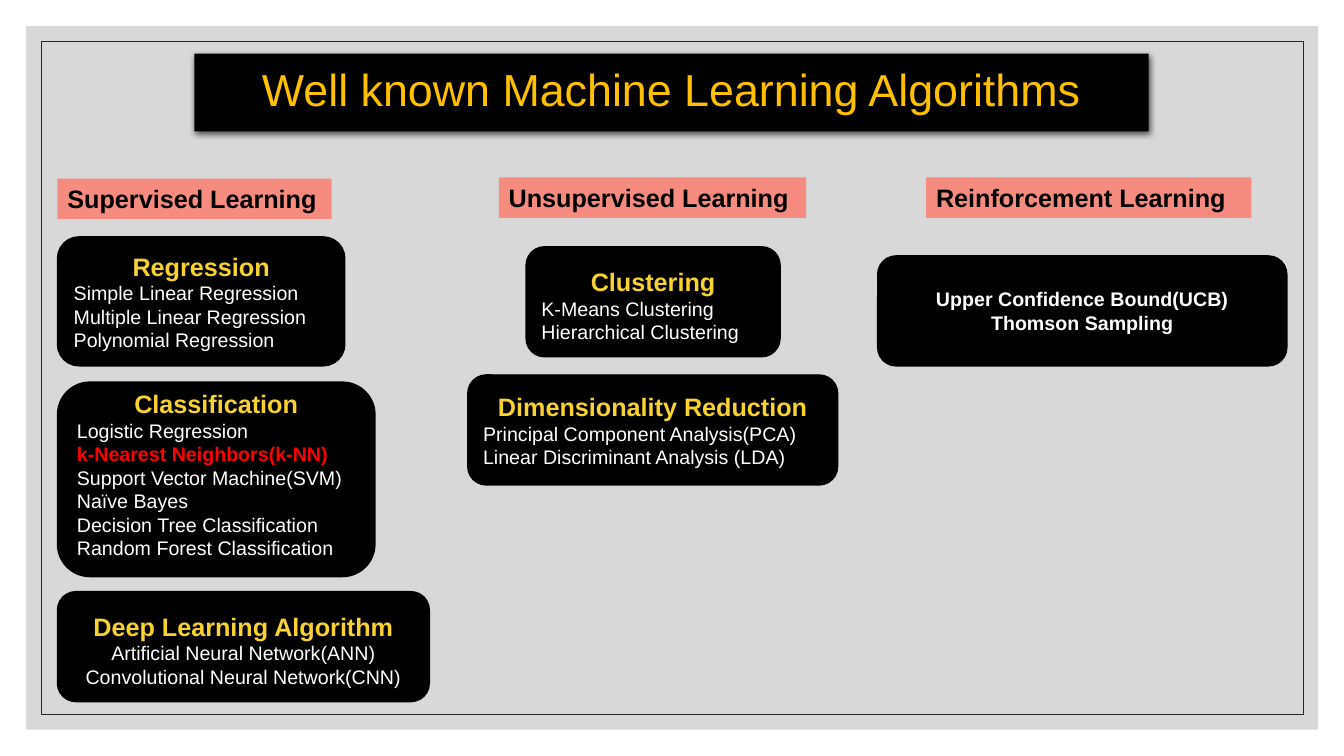
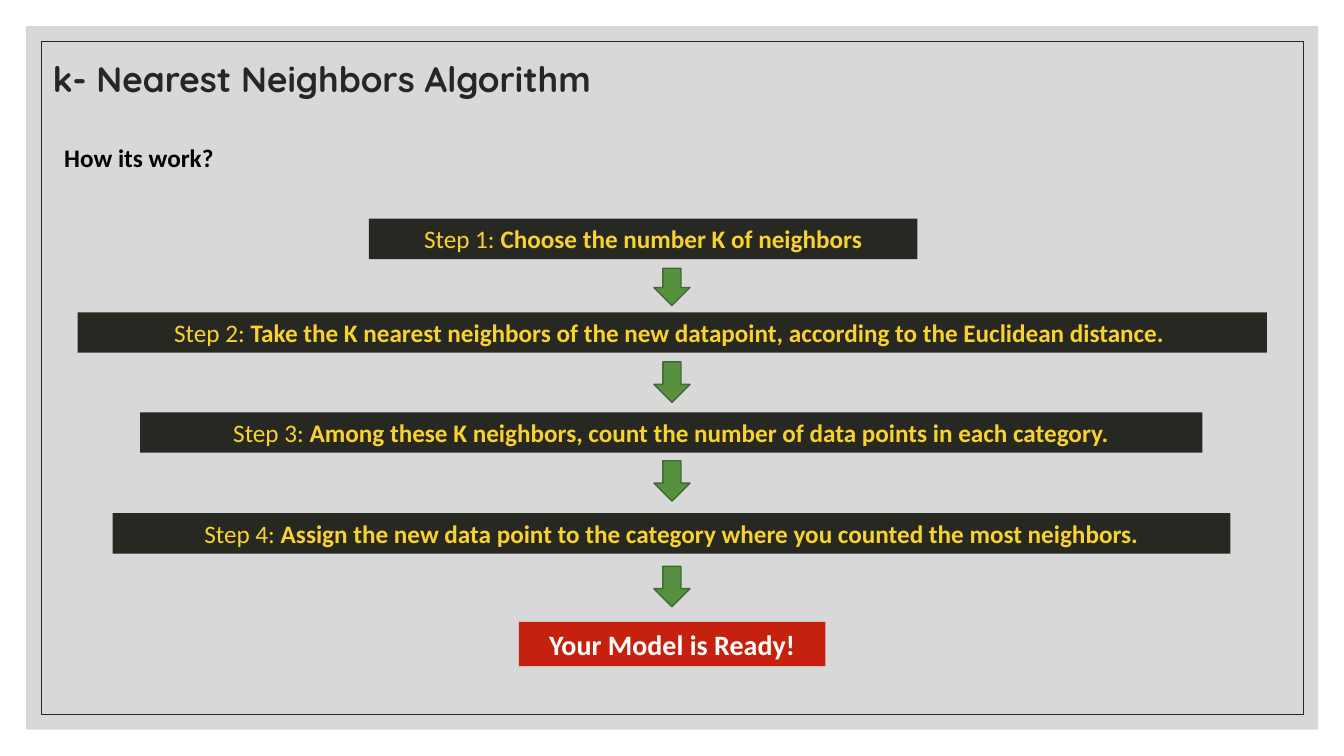
from lxml import etree
from pptx import Presentation
from pptx.dml.color import RGBColor
from pptx.enum.shapes import MSO_SHAPE, PP_PLACEHOLDER
from pptx.enum.text import MSO_ANCHOR, MSO_AUTO_SIZE, PP_ALIGN
from pptx.oxml.ns import qn
from pptx.util import Cm, Pt

RECTANGLE = MSO_SHAPE.RECTANGLE
ROUNDED = MSO_SHAPE.ROUNDED_RECTANGLE
DOWN_ARROW = MSO_SHAPE.DOWN_ARROW
LEFT, CENTER = PP_ALIGN.LEFT, PP_ALIGN.CENTER
MIDDLE = MSO_ANCHOR.MIDDLE
NO_AUTOFIT = MSO_AUTO_SIZE.NONE
TITLE_TYPE = PP_PLACEHOLDER.TITLE

BLACK = RGBColor(0x00, 0x00, 0x00)
WHITE = RGBColor(0xFF, 0xFF, 0xFF)
INK = RGBColor(0x26, 0x26, 0x26)
PANEL_GRAY = RGBColor(0xBF, 0xBF, 0xBF)
AMBER = RGBColor(0xFF, 0xC0, 0x00)
YELLOW = RGBColor(0xF8, 0xD2, 0x2F)
RED = RGBColor(0xFF, 0x00, 0x00)
SALMON = RGBColor(0xF6, 0x8C, 0x80)
CHARCOAL = RGBColor(0x28, 0x28, 0x23)
GREEN = RGBColor(0x57, 0x90, 0x3F)
DARK_GREEN = RGBColor(0x40, 0x6B, 0x2F)
BRICK = RGBColor(0xC6, 0x21, 0x0E)

ARIAL, CALIBRI, QUICKSAND = "Arial", "Calibri", "Quicksand"
MARGIN = 0.13
BAR_HEIGHT = 1.02

# (label, left, top, width)
FAMILIES = [
    ("Supervised Learning", 1.45, 4.5, 6.91),
    ("Unsupervised Learning", 12.57, 4.47, 7.75),
    ("Reinforcement Learning", 23.34, 4.47, 8.2),
]

# (heading, algorithms, area, alignment of the algorithms, text shift)
GROUPS = [
    ("Regression",
     ["Simple Linear Regression", "Multiple Linear Regression", "Polynomial Regression"],
     (1.45, 5.97, 7.24, 3.25), LEFT, 0),
    ("Classification",
     ["Logistic Regression", "k-Nearest Neighbors(k-NN)", "Support Vector Machine(SVM)",
      "Naïve Bayes", "Decision Tree Classification", "Random Forest Classification"],
     (1.45, 9.63, 8, 4.9), LEFT, -0.13),
    ("Clustering", ["K-Means Clustering", "Hierarchical Clustering"],
     (13.26, 6.22, 6.4, 2.77), LEFT, 0.08),
    ("Deep Learning Algorithm",
     ["Artificial Neural Network(ANN)", "Convolutional Neural Network(CNN)"],
     (1.45, 14.91, 9.37, 2.77), CENTER, 0.08),
    ("Dimensionality Reduction",
     ["Principal Component Analysis(PCA)", "Linear Discriminant Analysis (LDA)"],
     (11.79, 9.45, 9.32, 2.77), LEFT, 0),
]
REINFORCEMENT = ["Upper Confidence Bound(UCB)", "Thomson Sampling"]
HIGHLIGHTED = "k-Nearest Neighbors(k-NN)"

# (instruction, left, top, width, top of the arrow below, arrow height)
STEPS = [
    ("Choose the number K of neighbors", 9.3, 5.51, 13.82, 6.76, 0.94),
    ("Take the K nearest neighbors of the new datapoint, according to the Euclidean distance. ",
     1.96, 7.87, 29.97, 9.12, 1.02),
    ("Among these K neighbors, count the number of data points in each category.",
     3.53, 10.39, 26.77, 11.61, 1.02),
    ("Assign the new data point to the category where you counted the most neighbors.",
     2.84, 12.93, 28.17, 14.27, 1.02),
]


class Deck:
    def __init__(self):
        self.presentation = Presentation()
        self.presentation.slide_width = Cm(33.87)
        self.presentation.slide_height = Cm(19.05)
        self.layout = self.presentation.slide_layouts[5]
        self.slide = None
        self.framed = False

    def new_slide(self):
        self.slide = self.presentation.slides.add_slide(self.layout)
        if not self.framed:
            self.frame_layout()

    def frame_layout(self):
        """Give the layout the gray panel and thin border that all slides share."""
        for placeholder in list(self.layout.placeholders):
            if placeholder.placeholder_format.type != TITLE_TYPE:
                placeholder.element.getparent().remove(placeholder.element)
        panel = self.shape(RECTANGLE, (0.66, 0.66, 32.56, 17.73), PANEL_GRAY)
        color = panel.element.spPr.find(qn("a:solidFill"))[0]
        etree.SubElement(color, qn("a:alpha"), val="60000")
        border = self.shape(RECTANGLE, (1.04, 1.04, 31.8, 16.97), line=INK, line_width=0.5)
        tree = self.layout.element.cSld.spTree
        for position, part in enumerate((panel, border), start=2):
            tree.insert(position, part.element)
        self.framed = True

    def place(self, shape, area):
        shape.left, shape.top, shape.width, shape.height = map(Cm, area)

    def shape(self, kind, area, fill=None, line=None, line_width=1):
        shape = self.slide.shapes.add_shape(kind, *map(Cm, area))
        shape.shadow.inherit = False
        if fill is None:
            shape.fill.background()
        else:
            shape.fill.solid()
            shape.fill.fore_color.rgb = fill
        if line is None:
            shape.line.fill.background()
        else:
            shape.line.color.rgb = line
            shape.line.width = Pt(line_width)
        return shape

    def run(self, paragraph, text, size, font, color, bold=False):
        run = paragraph.add_run()
        run.text = text
        run.font.size = Pt(size)
        run.font.name = font
        run.font.color.rgb = color
        run.font.bold = bold

    def title(self, text, area, size, font, color, bold=False, align=LEFT):
        title = self.slide.shapes.title
        self.place(title, area)
        frame = title.text_frame
        frame.auto_size = NO_AUTOFIT
        frame.vertical_anchor = MIDDLE
        paragraph = frame.paragraphs[0]
        paragraph.alignment = align
        paragraph.line_spacing = 0.9
        self.run(paragraph, text, size, font, color, bold)
        return title

    def title_band(self, title, fill):
        """Fill the title and let it cast a soft shadow downwards."""
        title.fill.solid()
        title.fill.fore_color.rgb = fill
        effects = etree.SubElement(title.element.spPr, qn("a:effectLst"))
        shadow = etree.SubElement(effects, qn("a:outerShdw"), blurRad="57150",
                                  dist="19050", dir="5400000", algn="ctr", rotWithShape="0")
        color = etree.SubElement(shadow, qn("a:srgbClr"), val=str(BLACK))
        etree.SubElement(color, qn("a:alpha"), val="63000")

    def bar(self, area, runs, fill=None, align=CENTER):
        """Draw a one-line bar; runs hold text, size, font, colour and bold."""
        bar = self.shape(RECTANGLE, area, fill)
        bar.text_frame.word_wrap = True
        paragraph = bar.text_frame.paragraphs[0]
        paragraph.alignment = align
        for run in runs:
            self.run(paragraph, *run)

    def card(self, area, lines, shift=0):
        """Draw a black card; lines hold text, size, colour, bold and alignment."""
        card = self.shape(ROUNDED, area, BLACK, BLACK)
        frame = card.text_frame
        frame.word_wrap = True
        frame.vertical_anchor = MIDDLE
        frame.margin_top = Cm(MARGIN + shift)
        frame.margin_bottom = Cm(MARGIN - shift)
        for index, (text, size, color, bold, align) in enumerate(lines):
            paragraph = frame.add_paragraph() if index else frame.paragraphs[0]
            paragraph.alignment = align
            self.run(paragraph, text, size, ARIAL, color, bold)

    def arrow(self, top, height):
        self.shape(DOWN_ARROW, (16.48, top, 0.91, height), GREEN, DARK_GREEN)


def build_algorithms(deck):
    deck.new_slide()
    title = deck.title("Well known Machine Learning Algorithms",
                       (4.9, 1.35, 24.05, 1.96), 32, ARIAL, AMBER, align=CENTER)
    deck.title_band(title, BLACK)
    for label, left, top, width in FAMILIES:
        deck.bar((left, top, width, BAR_HEIGHT),
                 [(label, 18, ARIAL, BLACK, True)], SALMON, LEFT)
    for heading, algorithms, area, align, shift in GROUPS:
        lines = [(heading, 18, YELLOW, True, CENTER)]
        for algorithm in algorithms:
            marked = algorithm == HIGHLIGHTED
            lines.append((algorithm, 14, RED if marked else WHITE, marked, align))
        deck.card(area, lines, shift)
    deck.card((22.12, 6.45, 10.31, 2.77),
              [(algorithm, 14, WHITE, True, CENTER) for algorithm in REINFORCEMENT])


def build_nearest_neighbors(deck):
    deck.new_slide()
    deck.title("k- Nearest Neighbors Algorithm", (1.07, 1.09, 14.15, 1.9),
               25.2, QUICKSAND, INK, bold=True)
    deck.bar((1.37, 3.45, 13.82, BAR_HEIGHT),
             [("How its work?", 18, CALIBRI, BLACK, True)], align=LEFT)
    for number, step in enumerate(STEPS, start=1):
        instruction, left, top, width, arrow_top, arrow_height = step
        deck.bar((left, top, width, BAR_HEIGHT),
                 [(f"Step {number}: ", 18, CALIBRI, YELLOW),
                  (instruction, 18, CALIBRI, YELLOW, True)], CHARCOAL)
        deck.arrow(arrow_top, arrow_height)
    deck.bar((13.08, 15.67, 7.72, 1.12),
             [("Your Model is Ready!", 20, CALIBRI, WHITE, True)], BRICK)


def main():
    deck = Deck()
    build_algorithms(deck)
    build_nearest_neighbors(deck)
    deck.presentation.save("out.pptx")


if __name__ == "__main__":
    main()
